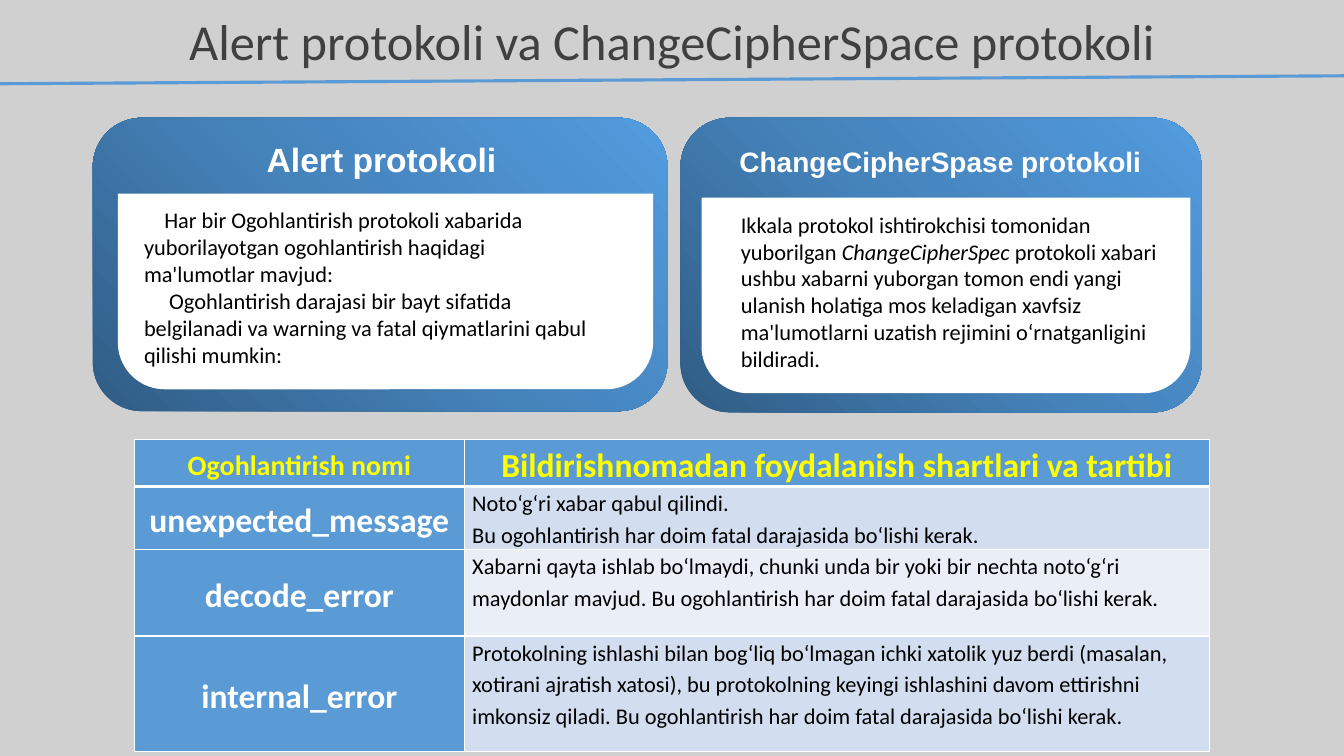
import copy

import pptx
import pptx.util
import pptx.dml.color
import pptx.enum.shapes
import pptx.enum.text
import pptx.oxml
import pptx.oxml.ns

Cm = pptx.util.Cm
Pt = pptx.util.Pt
RGBColor = pptx.dml.color.RGBColor
MSO_SHAPE = pptx.enum.shapes.MSO_SHAPE
ANCHOR = pptx.enum.text.MSO_ANCHOR
ALIGN = pptx.enum.text.PP_ALIGN
qn = pptx.oxml.ns.qn

GREY = RGBColor(0xD0, 0xD0, 0xD0)
DARK = RGBColor(0x40, 0x40, 0x40)
BLACK = RGBColor(0, 0, 0)
WHITE = RGBColor(0xFF, 0xFF, 0xFF)
YELLOW = RGBColor(0xFF, 0xFF, 0)
BLUE = RGBColor(0x5B, 0x9B, 0xD5)
BANDS = [RGBColor(0xD2, 0xDE, 0xEF), RGBColor(0xEA, 0xEF, 0xF7)]
GRADIENT = [RGBColor(0x30, 0x5C, 0x84), RGBColor(0x45, 0x83, 0xBB),
            RGBColor(0x52, 0x9B, 0xDE)]


class Deck:
    """Holds the slide and its style."""

    font = "Calibri"

    def __init__(self, prs):
        self.slide = prs.slides.add_slide(prs.slide_layouts[6])
        fill = self.slide.background.fill
        fill.solid()
        fill.fore_color.rgb = GREY

    def style(self, p, size, color, bold=False, align=ALIGN.LEFT, font=None):
        p.alignment = align
        p.font.name = font or self.font
        p.font.size = Pt(size)
        p.font.bold = bold
        p.font.color.rgb = color

    def text(self, box, paragraphs, size, color, anchor=ANCHOR.TOP,
             grow=True, indents=(), spacing=None, **style):
        """Each paragraph is a list of runs; every second run is italic."""
        tf = self.slide.shapes.add_textbox(*map(Cm, box)).text_frame
        tf.word_wrap = True
        tf.vertical_anchor = anchor
        if grow:
            tf.auto_size = pptx.enum.text.MSO_AUTO_SIZE.SHAPE_TO_FIT_TEXT
        for i, runs in enumerate(paragraphs):
            p = tf.add_paragraph() if i else tf.paragraphs[0]
            for j, words in enumerate(runs):
                r = p.add_run()
                r.text = words
                if j % 2:
                    r.font.italic = True
            if indents:
                p._p.get_or_add_pPr().set("indent", str(Pt(indents[i])))
            if spacing:
                p.line_spacing = spacing
            self.style(p, size, color, **style)

    def shape(self, kind, box):
        sp = self.slide.shapes.add_shape(kind, *map(Cm, box))
        sp.shadow.inherit = False
        sp.line.fill.background()
        return sp

    def gradient_card(self, box):
        sp = self.shape(MSO_SHAPE.ROUNDED_RECTANGLE, box)
        sp.fill.gradient()
        sp.fill.gradient_angle = 45
        stops = sp._element.spPr.find(qn("a:gradFill")).find(qn("a:gsLst"))
        stops.insert(1, copy.deepcopy(stops[0]))
        for i, stop in enumerate(sp.fill.gradient_stops):
            stop.position = i / 2
            stop.color.rgb = GRADIENT[i]

    def white_panel(self, box):
        sp = self.shape(MSO_SHAPE.ROUND_2_SAME_RECTANGLE, box)
        sp.adjustments[0] = 0
        sp.adjustments[1] = 0.24
        sp.fill.solid()
        sp.fill.fore_color.rgb = WHITE

    def line(self, *ends):
        ln = self.slide.shapes.add_connector(
            pptx.enum.shapes.MSO_CONNECTOR.STRAIGHT, *map(Cm, ends))
        ln.line.color.rgb = BLUE
        ln.line.width = Pt(2.25)
        pptx.oxml.ns  # namespaces come from the a: prefix below
        ln._element.spPr.append(pptx.oxml.parse_xml(
            f'<a:effectLst {pptx.oxml.ns.nsdecls("a")}/>'))

    def borders(self, cell, **widths):
        tcPr = cell._tc.get_or_add_tcPr()
        for i, side in enumerate("LRTB"):
            tcPr.insert(i, pptx.oxml.parse_xml(
                f'<a:ln{side} {pptx.oxml.ns.nsdecls("a")} '
                f'w="{Pt(widths.get(side, 1))}"><a:solidFill>'
                f'<a:srgbClr val="{WHITE}"/></a:solidFill></a:ln{side}>'))

    def cell(self, cell, words, size, color, fill, **style):
        cell.margin_left = cell.margin_right = Cm(0.19)
        cell.margin_top = cell.margin_bottom = 0
        cell.fill.solid()
        cell.fill.fore_color.rgb = fill
        cell.text = words
        for p in cell.text_frame.paragraphs:
            p.line_spacing = 1.15
            self.style(p, size, color, **style)

    def table(self, left, top, widths, heights, rows):
        tb = self.slide.shapes.add_table(
            len(rows), len(widths), Cm(left), Cm(top),
            Cm(sum(widths)), Cm(sum(heights))).table
        for col, width in zip(tb.columns, widths):
            col.width = Cm(width)
        for i, (name, usage) in enumerate(rows):
            tb.rows[i].height = Cm(heights[i])
            left_cell, right_cell = tb.cell(i, 0), tb.cell(i, 1)
            head = dict(bold=True, align=ALIGN.CENTER)
            left_cell.vertical_anchor = ANCHOR.MIDDLE
            if i == 0:
                self.cell(left_cell, name, 20, YELLOW, BLUE, **head)
                self.cell(right_cell, usage, 24, YELLOW, BLUE, **head)
            else:
                self.cell(left_cell, name, 24, WHITE, BLUE, **head)
                self.cell(right_cell, usage, 16, BLACK, BANDS[(i - 1) % 2])
            for cell in (left_cell, right_cell):
                self.borders(cell, T=3 if i == 1 else 1, B=1 if i else 3)


def main():
    prs = pptx.Presentation()
    prs.slide_width, prs.slide_height = Cm(33.87), Cm(19.05)
    deck = Deck(prs)

    # Warning table
    deck.table(3.38, 11.07, [8.33, 18.77], [1.12, 1.47, 2.18, 2.92], [
        ("Ogohlantirish nomi",
         "Bildirishnomadan foydalanish shartlari va tartibi"),
        ("unexpected_message",
         "Noto‘g‘ri xabar qabul qilindi.\n"
         "Bu ogohlantirish har doim fatal darajasida bo‘lishi kerak."),
        ("decode_error",
         "Xabarni qayta ishlab bo‘lmaydi, chunki unda bir yoki bir nechta "
         "noto‘g‘ri maydonlar mavjud. Bu ogohlantirish har doim fatal "
         "darajasida bo‘lishi kerak."),
        ("internal_error",
         "Protokolning ishlashi bilan bog‘liq bo‘lmagan ichki xatolik yuz "
         "berdi (masalan, xotirani ajratish xatosi), bu protokolning keyingi "
         "ishlashini davom ettirishni imkonsiz qiladi. Bu ogohlantirish har "
         "doim fatal darajasida bo‘lishi kerak."),
    ])

    # Protocol cards
    deck.gradient_card((2.34, 2.97, 14.48, 7.39))
    deck.gradient_card((17.15, 2.97, 13.13, 7.42))
    heading = dict(bold=True, align=ALIGN.CENTER, font="Arial")

    deck.white_panel((2.97, 4.88, 13.49, 4.93))
    deck.text((3.38, 5.05, 11.86, 4.37), [
        ["Har bir Ogohlantirish protokoli xabarida yuborilayotgan "
         "ogohlantirish haqidagi ma'lumotlar mavjud:"],
        ["Ogohlantirish darajasi bir bayt sifatida belgilanadi va warning va "
         "fatal qiymatlarini qabul qilishi mumkin:"],
    ], 16, BLACK, ANCHOR.MIDDLE, indents=(14.5, 18))
    deck.text((5.08, 3.38, 9.07, 1.27), [["Alert protokoli"]], 24, WHITE,
              **heading)

    deck.white_panel((17.68, 4.98, 12.32, 4.93))
    deck.text((18.42, 5.16, 11.3, 4.37), [
        ["Ikkala protokol ishtirokchisi tomonidan yuborilgan ",
         "ChangeCipherSpec ",
         "protokoli xabari ushbu xabarni yuborgan tomon endi yangi ulanish "
         "holatiga mos keladigan xavfsiz ma'lumotlarni uzatish rejimini "
         "o‘rnatganligini bildiradi."],
    ], 16, BLACK, ANCHOR.MIDDLE)
    deck.text((17.68, 3.51, 12.04, 1.12), [["ChangeCipherSpase protokoli"]],
              20, WHITE, **heading)

    # Title and rule
    deck.line(0, 2.11, 33.87, 1.91)
    deck.text((1.7, 0.13, 30.48, 1.98),
              [["Alert protokoli va ChangeCipherSpace protokoli"]], 36, DARK,
              ANCHOR.MIDDLE, grow=False, spacing=0.9, align=ALIGN.CENTER)

    prs.save("out.pptx")


if __name__ == "__main__":
    main()
